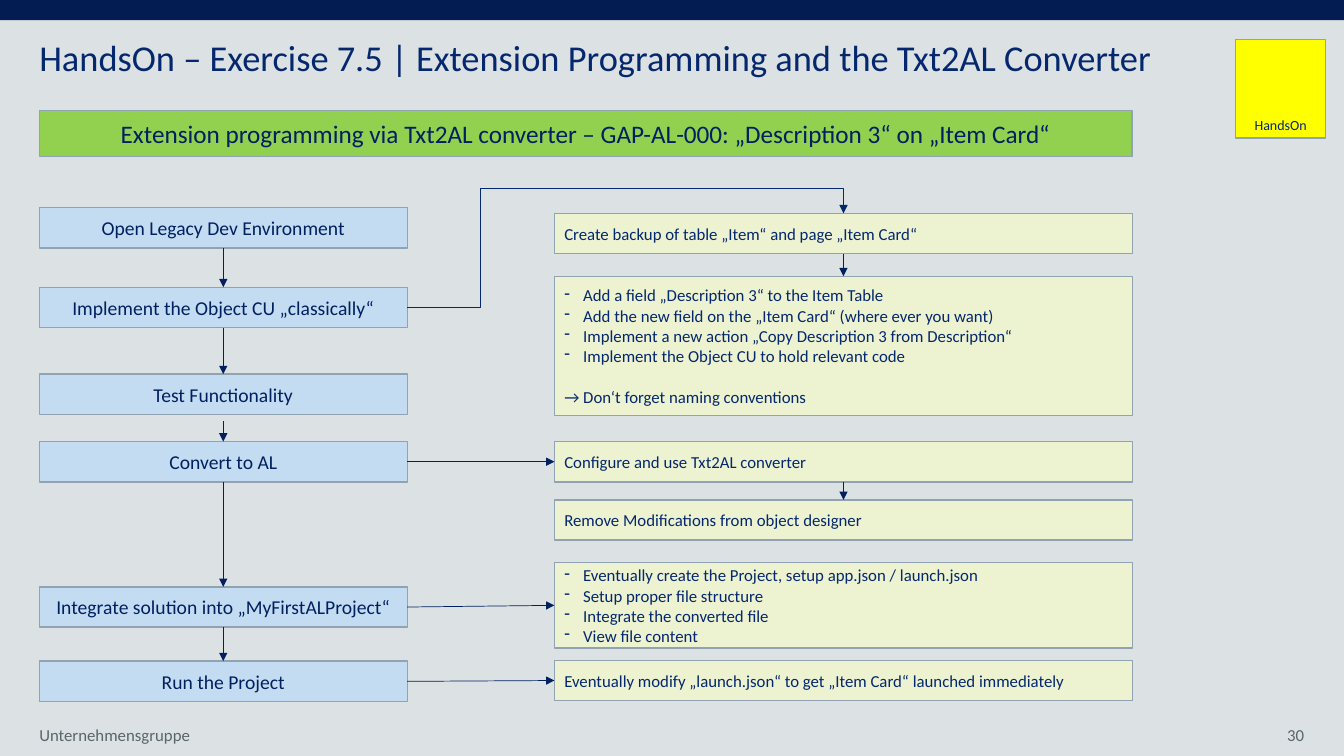
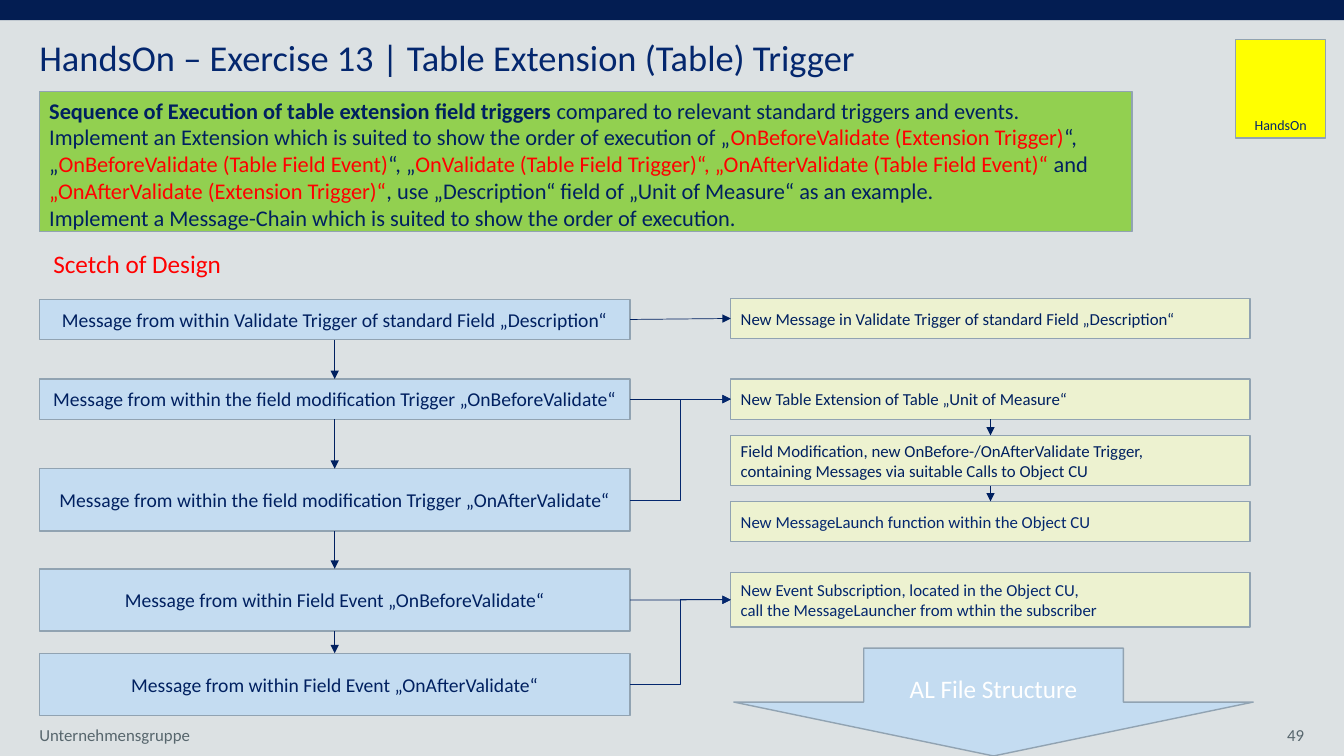
"""Build two exercise slides with flow charts of steps and details."""
from dataclasses import dataclass
from itertools import pairwise

from lxml import etree
from pptx import Presentation
from pptx.dml.color import RGBColor
from pptx.enum.shapes import MSO_CONNECTOR, MSO_SHAPE
from pptx.enum.text import MSO_ANCHOR, PP_ALIGN
from pptx.oxml.ns import qn
from pptx.presentation import Presentation as Deck
from pptx.shapes.autoshape import Shape
from pptx.shapes.connector import Connector
from pptx.slide import Slide
from pptx.util import Pt

RECT, DOWN_ARROW = MSO_SHAPE.RECTANGLE, MSO_SHAPE.DOWN_ARROW
STRAIGHT, ELBOW = MSO_CONNECTOR.STRAIGHT, MSO_CONNECTOR.ELBOW
TOP, MIDDLE, BOTTOM = MSO_ANCHOR.TOP, MSO_ANCHOR.MIDDLE, MSO_ANCHOR.BOTTOM
LEFT, CENTER, RIGHT = PP_ALIGN.LEFT, PP_ALIGN.CENTER, PP_ALIGN.RIGHT
TOP_SIDE, LEFT_SIDE, BOTTOM_SIDE, RIGHT_SIDE = range(4)
PAGE_WIDTH, PAGE_HEIGHT = 960, 540
MARGIN = 28.1
ROW_HEIGHT = 28.8
BANNER_WIDTH = 780.6
BULLET_INDENT = 13.5
BLANK_LINE = 14.6


@dataclass(frozen=True)
class Theme:
    font: str = "Calibri"
    page: str = "DCE1E3"
    band: str = "031D52"
    blue: str = "04276E"
    navy: str = "002060"
    gray: str = "57666D"
    red: str = "FF0000"
    white: str = "FFFFFF"
    yellow: str = "FFFF00"
    green: str = "92D050"
    step: str = "C4DCF1"
    detail: str = "EDF2D0"
    outline: str = "91A3B2"
    title_size: float = 26
    heading_size: float = 18
    task_size: float = 16
    step_size: float = 14
    small_size: float = 12
    tag_size: float = 10


THEME = Theme()


@dataclass(frozen=True)
class Area:
    left: float
    top: float
    width: float
    height: float = ROW_HEIGHT


@dataclass(frozen=True)
class Style:
    size: float
    color: str
    align: PP_ALIGN = LEFT
    anchor: MSO_ANCHOR = MIDDLE
    spacing: float | None = None


@dataclass(frozen=True)
class Span:
    text: str
    color: str | None = None
    bold: bool | None = None


@dataclass(frozen=True)
class Para:
    spans: tuple[Span, ...]
    bullet: bool = False
    gap: float = 0


@dataclass(frozen=True)
class Card:
    top: float
    paras: list[Para]
    height: float = ROW_HEIGHT


@dataclass(frozen=True)
class Column:
    left: float
    width: float
    fill: str
    style: Style


TITLE = Style(THEME.title_size, THEME.blue, anchor=TOP, spacing=0.9)
FOOTER = Style(THEME.small_size, THEME.gray)
PAGE_NUMBER = Style(THEME.small_size, THEME.gray, RIGHT)
TAG = Style(THEME.tag_size, THEME.blue, CENTER, BOTTOM)
BANNER = Style(THEME.heading_size, THEME.navy, CENTER)
TASK = Style(THEME.task_size, THEME.navy, anchor=TOP)
SKETCH = Style(THEME.heading_size, THEME.red, anchor=TOP)
RESULT = Style(THEME.heading_size, THEME.white, CENTER)
STEP = Style(THEME.step_size, THEME.navy, CENTER)
DETAIL = Style(THEME.small_size, THEME.blue)
NAVY_DETAIL = Style(THEME.small_size, THEME.navy)


def lines(*texts: str, bullet: bool = False) -> list[Para]:
    """Make one plain paragraph of each text."""
    return [Para((Span(text),), bullet) for text in texts]


def rgb(color: str) -> RGBColor:
    """Turn a hex code into a colour."""
    return RGBColor.from_string(color)


def write(box: Shape, paras: list[Para], style: Style) -> None:
    """Fill a box with styled paragraphs."""
    frame = box.text_frame
    frame.word_wrap = True
    frame.vertical_anchor = style.anchor
    for index, para in enumerate(paras):
        paragraph = frame.add_paragraph() if index else frame.paragraphs[0]
        paragraph.alignment = style.align
        if style.spacing:
            paragraph.line_spacing = style.spacing
        if para.gap:
            paragraph.space_before = Pt(para.gap)
        if para.bullet:
            properties = paragraph._p.get_or_add_pPr()
            properties.set("marL", str(Pt(BULLET_INDENT)))
            properties.set("indent", str(-Pt(BULLET_INDENT)))
            etree.SubElement(properties, qn("a:buChar"), char="-")
        paragraph.font.name = THEME.font
        paragraph.font.size = Pt(style.size)
        paragraph.font.color.rgb = rgb(style.color)
        for span in para.spans:
            run = paragraph.add_run()
            run.text = span.text
            if span.color:
                run.font.color.rgb = rgb(span.color)
            if span.bold:
                run.font.bold = True


def lengths(area: Area) -> tuple[Pt, ...]:
    """Give left, top, width and height of an area."""
    return Pt(area.left), Pt(area.top), Pt(area.width), Pt(area.height)


def add_box(page: Slide, area: Area, fill: str, paras: list[Para], style: Style,
            kind: MSO_SHAPE = RECT) -> Shape:
    """Draw an outlined shape with text."""
    box = page.shapes.add_shape(kind, *lengths(area))
    box.shadow.inherit = False
    box.fill.solid()
    box.fill.fore_color.rgb = rgb(fill)
    box.line.color.rgb = rgb(THEME.outline)
    box.line.width = Pt(1)
    write(box, paras, style)
    return box


def add_label(page: Slide, area: Area, text: str, style: Style) -> Shape:
    """Draw a text box without insets."""
    box = page.shapes.add_textbox(*lengths(area))
    write(box, lines(text), style)
    frame = box.text_frame
    frame.margin_left = frame.margin_top = frame.margin_right = frame.margin_bottom = 0
    return box


def add_cards(page: Slide, column: Column, cards: list[Card]) -> list[Shape]:
    """Draw the boxes of one column."""
    return [add_box(page, Area(column.left, card.top, column.width, card.height),
                    column.fill, card.paras, column.style) for card in cards]


def finish_arrow(arrow: Connector, color: str) -> None:
    """Give a connector its line, head and no shadow."""
    arrow.line.color.rgb = rgb(color)
    arrow.line.width = Pt(0.5)
    etree.SubElement(arrow.line._get_or_add_ln(), qn("a:tailEnd"), type="triangle")
    etree.SubElement(arrow._element.spPr, qn("a:effectLst"))


def join(page: Slide, start: Shape, end: Shape, start_side: int, end_side: int,
         kind: MSO_CONNECTOR = STRAIGHT) -> Connector:
    """Draw an arrow between the sides of two boxes."""
    arrow = page.shapes.add_connector(kind, 0, 0, 0, 0)
    arrow.begin_connect(start, start_side)
    arrow.end_connect(end, end_side)
    finish_arrow(arrow, THEME.blue if kind == ELBOW else THEME.navy)
    return arrow


def join_down(page: Slide, boxes: list[Shape]) -> None:
    """Chain boxes from top to bottom."""
    for upper, lower in pairwise(boxes):
        join(page, upper, lower, BOTTOM_SIDE, TOP_SIDE)


def join_across(page: Slide, start: Shape, end: Shape,
                kind: MSO_CONNECTOR = STRAIGHT) -> None:
    """Link a step to its detail on the right."""
    join(page, start, end, RIGHT_SIDE, LEFT_SIDE, kind)


def route_over(arrow: Connector, across: int, above: int) -> None:
    """Lead an elbow arrow over its target and down onto it."""
    geometry = arrow._element.spPr.find(qn("a:prstGeom"))
    geometry.set("prst", "bentConnector4")
    guides = geometry.find(qn("a:avLst"))
    for name, value in (("adj1", across), ("adj2", above)):
        etree.SubElement(guides, qn("a:gd"), name=name, fmla=f"val {value}")


def add_page(deck: Deck, title: str, number: str) -> Slide:
    """Add a slide with band, title, footer and tag."""
    page = deck.slides.add_slide(deck.slide_layouts[6])
    band = page.shapes.add_shape(RECT, 0, 0, Pt(PAGE_WIDTH), Pt(14.4))
    band.shadow.inherit = False
    band.fill.solid()
    band.fill.fore_color.rgb = rgb(THEME.band)
    band.line.fill.background()
    add_label(page, Area(MARGIN, 28.8, 903, 57), title, TITLE)
    add_label(page, Area(MARGIN, 510.5, 216), "Unternehmensgruppe", FOOTER)
    add_label(page, Area(733, 510.5, 198.6), number, PAGE_NUMBER)
    add_box(page, Area(882.7, 28.1, 64.1, 70.6), THEME.yellow, lines("HandsOn"), TAG)
    return page


def add_converter_page(deck: Deck) -> None:
    """Build the converter exercise."""
    page = add_page(deck, "HandsOn – Exercise 7.5 | Extension Programming and the Txt2AL Converter", "30")
    add_box(page, Area(MARGIN, 78.8, BANNER_WIDTH, 33), THEME.green, lines(
        "Extension programming via Txt2AL converter – GAP-AL-000: „Description 3“ on „Item Card“"), BANNER)
    steps = add_cards(page, Column(MARGIN, 262.8, THEME.step, STEP), [
        Card(148.3, lines("Open Legacy Dev Environment")),
        Card(205.2, lines("Implement the Object CU „classically“")),
        Card(267.3, lines("Test Functionality")),
        Card(315.4, lines("Convert to AL")),
        Card(419.2, lines("Integrate solution into „MyFirstALProject“")),
        Card(472.3, lines("Run the Project"))])
    fields = lines("Add a field „Description 3“ to the Item Table",
                   "Add the new field on the „Item Card“ (where ever you want)",
                   "Implement a new action „Copy Description 3 from Description“",
                   "Implement the Object CU to hold relevant code", bullet=True)
    reminder = Para((Span("→ Don‘t forget naming conventions"),), gap=BLANK_LINE)
    details = add_cards(page, Column(396, 413, THEME.detail, DETAIL), [
        Card(152.4, lines("Create backup of table „Item“ and page „Item Card“")),
        Card(197.3, [*fields, reminder], 99.4),
        Card(315.4, lines("Configure and use Txt2AL converter")),
        Card(357.1, lines("Remove Modifications from object designer")),
        Card(401.8, lines("Eventually create the Project, setup app.json / launch.json",
                          "Setup proper file structure", "Integrate the converted file",
                          "View file content", bullet=True), 61.2),
        Card(471.7, lines("Eventually modify „launch.json“ to get „Item Card“ launched immediately"))])
    join_down(page, steps[:3])
    join_down(page, steps[3:])
    center = Pt(MARGIN + 131.4)
    short_arrow = page.shapes.add_connector(STRAIGHT, center, Pt(301), center, Pt(315.4))
    short_arrow.end_connect(steps[3], TOP_SIDE)
    finish_arrow(short_arrow, THEME.navy)
    join_down(page, details[:2])
    join_down(page, details[2:4])
    for step, detail in ((3, 2), (4, 4), (5, 5)):
        join_across(page, steps[step], details[detail])
    route_over(join(page, steps[1], details[0], RIGHT_SIDE, TOP_SIDE, ELBOW), 16800, 126800)


def add_trigger_page(deck: Deck) -> None:
    """Build the table trigger exercise."""
    page = add_page(deck, "HandsOn – Exercise 13 | Table Extension (Table) Trigger", "49")
    add_box(page, Area(MARGIN, 65.5, BANNER_WIDTH, 100), THEME.green, [
        Para((Span("Sequence of Execution of table extension field triggers ", bold=True),
              Span("compared to relevant standard triggers and events."))),
        Para((Span("Implement an Extension which is suited to show the order of execution of „"),
              Span("OnBeforeValidate (Extension Trigger)", THEME.red), Span("“, „"),
              Span("OnBeforeValidate (Table Field Event)", THEME.red), Span("“, „"),
              Span("OnValidate (Table Field Trigger)“, „OnAfterValidate (Table Field Event)“ ", THEME.red),
              Span("and"), Span(" „OnAfterValidate (Extension Trigger)“", THEME.red),
              Span(", use „Description“ field of „Unit of Measure“ as an example."))),
        *lines("Implement a Message-Chain which is suited to show the order of execution.")], TASK)
    sketch = page.shapes.add_textbox(*lengths(Area(31, 174.2, 136)))
    write(sketch, lines("Scetch of Design"), SKETCH)
    sketch.text_frame.word_wrap = False
    steps = add_cards(page, Column(MARGIN, 422, THEME.step, STEP), [
        Card(213.8, lines("Message from within Validate Trigger of standard Field „Description“")),
        Card(270.7, lines("Message from within the field modification Trigger „OnBeforeValidate“")),
        Card(334.8, lines("Message from within the field modification Trigger „OnAfterValidate“"), 44.6),
        Card(406.3, lines("Message from within Field Event „OnBeforeValidate“"), 44.6),
        Card(466.6, lines("Message from within Field Event „OnAfterValidate“"), 44.6)])
    tables = add_cards(page, Column(522, 371, THEME.detail, NAVY_DETAIL), [
        Card(213.1, lines("New Message in Validate Trigger of standard Field „Description“")),
        Card(270.7, lines("New Table Extension of Table „Unit of Measure“")),
        Card(311, lines("Field Modification, new OnBefore-/OnAfterValidate Trigger,",
                        "containing Messages via suitable Calls to Object CU"), 36)])
    launchers = add_cards(page, Column(522, 371, THEME.detail, DETAIL), [
        Card(358.2, lines("New MessageLaunch function within the Object CU")),
        Card(409, lines("New Event Subscription, located in the Object CU,",
                        "call the MessageLauncher from wthin the subscriber"), 38.9)])
    join_down(page, steps)
    join_down(page, [*tables[1:], launchers[0]])
    for step, detail in ((0, tables[0]), (1, tables[1]), (3, launchers[1])):
        join_across(page, steps[step], detail)
    for step, detail in ((2, tables[1]), (4, launchers[1])):
        join_across(page, steps[step], detail, ELBOW)
    add_box(page, Area(524.2, 463, 371, 77), THEME.step, lines("AL File Structure"), RESULT, DOWN_ARROW)


def main() -> None:
    """Build and save the deck."""
    deck = Presentation()
    deck.slide_width, deck.slide_height = Pt(PAGE_WIDTH), Pt(PAGE_HEIGHT)
    backdrop = deck.slide_master.background.fill
    backdrop.solid()
    backdrop.fore_color.rgb = rgb(THEME.page)
    add_converter_page(deck)
    add_trigger_page(deck)
    deck.save("out.pptx")


if __name__ == "__main__":
    main()
